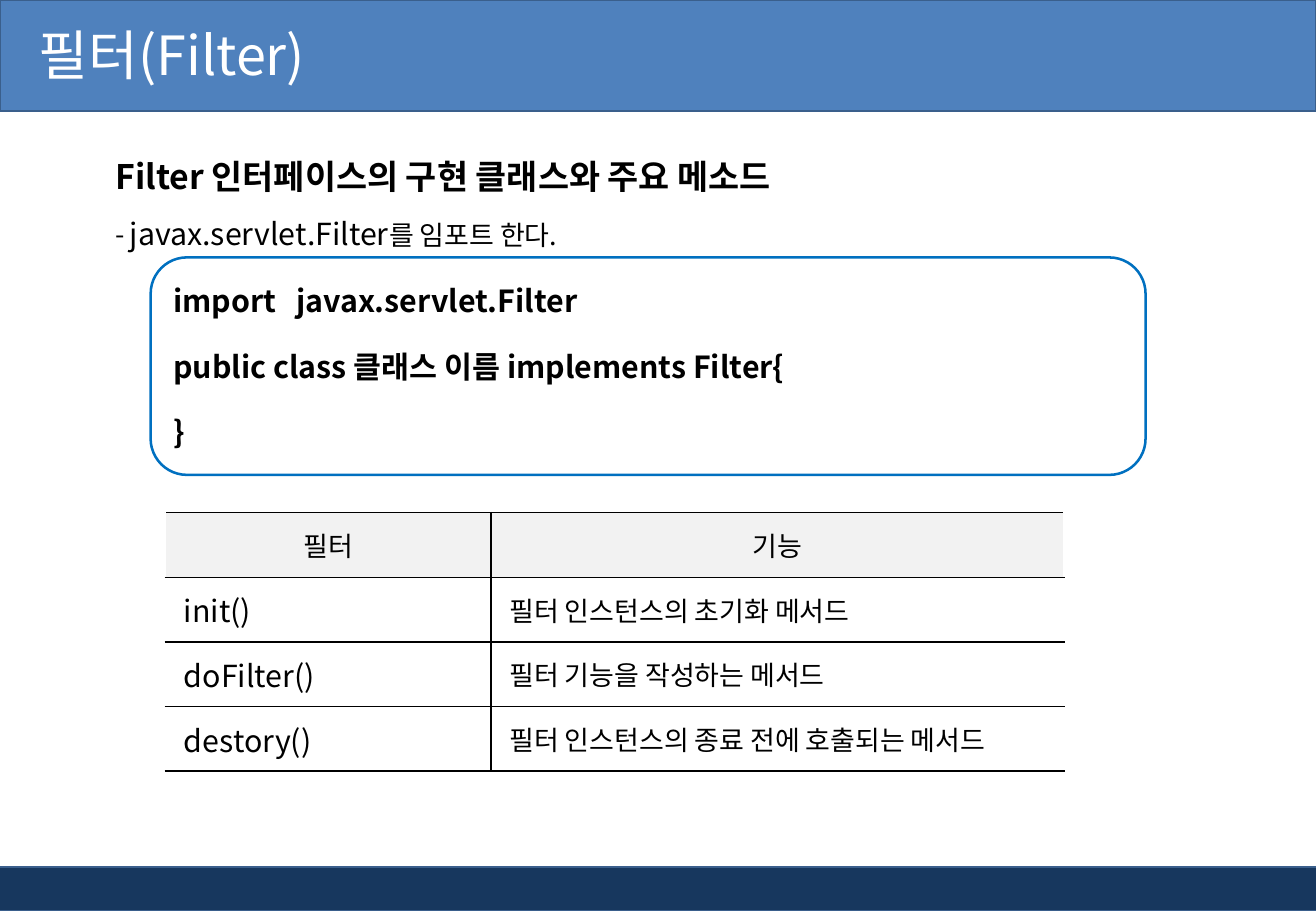
from lxml import etree
from pptx import Presentation
from pptx import util as u
from pptx.dml import color
from pptx.enum import shapes, text
from pptx.oxml import ns

FONT = "Noto Sans CJK KR"
COLORS = {
    "header": "4F81BD", "footer": "17375E", "bar_line": "3A5F8C",
    "code_line": "0070C0", "table_head": "F2F2F2",
    "white": "FFFFFF", "black": "000000",
}
METHODS = [
    ("init()", "필터 인스턴스의 초기화 메서드"),
    ("doFilter()", "필터 기능을 작성하는 메서드"),
    ("destory()", "필터 인스턴스의 종료 전에 호출되는 메서드"),
]
CODE = ["import\tjavax.servlet.Filter", "public class 클래스 이름 implements Filter{", "}"]


def rgb(name):
    return color.RGBColor.from_string(COLORS[name])


def apply(target, values):
    for name, value in values.items():
        setattr(target, name, value)


def add_child(parent, tag, **attributes):
    return etree.SubElement(parent, ns.qn(tag), attributes)


def add_run(paragraph, content, size, ink="black", bold=False):
    run = paragraph.add_run()
    run.text = content
    apply(run.font, {"name": FONT, "size": u.Pt(size), "bold": bold})
    run.font.color.rgb = rgb(ink)
    add_child(run.font._element, "a:ea", typeface=FONT)


def place(shape, left, top, width, height):
    bounds = {"left": left, "top": top, "width": width, "height": height}
    apply(shape, {name: u.Pt(value) for name, value in bounds.items()})


def add_box(slide, kind, bounds, fill, line, width):
    box = slide.shapes.add_shape(kind, *map(u.Pt, bounds))
    box.shadow.inherit = False
    box.fill.solid()
    box.fill.fore_color.rgb = rgb(fill)
    box.line.color.rgb = rgb(line)
    box.line.width = u.Pt(width)
    return box


def add_bar(slide, bounds, fill):
    bar = add_box(slide, shapes.MSO_SHAPE.RECTANGLE, bounds, fill, "bar_line", 1)
    slide.shapes.title._element.addprevious(bar._element)


def fill_title(title):
    place(title, 0, -2.16, 629.3, 67.7)
    apply(title.text_frame, {
        "margin_left": u.Pt(23), "vertical_anchor": text.MSO_ANCHOR.MIDDLE,
        "auto_size": text.MSO_AUTO_SIZE.NONE,
    })
    paragraph = title.text_frame.paragraphs[0]
    paragraph.alignment = text.PP_ALIGN.LEFT
    add_run(paragraph, "필터(Filter)", 32, "white")


def fill_body(body):
    place(body, 61.2, 77, 702.7, 76.3)
    frame = body.text_frame
    apply(frame, {"auto_size": text.MSO_AUTO_SIZE.NONE,
                  "vertical_anchor": text.MSO_ANCHOR.TOP})
    heading, item = frame.paragraphs[0], frame.add_paragraph()
    for paragraph, indent in ((heading, 0), (item, 8.6)):
        apply(paragraph, {"line_spacing": 1.5, "space_before": u.Pt(0)})
        properties = paragraph._p.get_or_add_pPr()
        properties.set("marL", str(u.Pt(indent)))
        properties.set("indent", str(-u.Pt(indent)))
    add_child(heading._p.pPr, "a:buNone")
    add_child(item._p.pPr, "a:buSzPct", val="89000")
    add_child(item._p.pPr, "a:buFont", typeface=FONT)
    add_child(item._p.pPr, "a:buChar", char="-")
    add_run(heading, "Filter 인터페이스의 구현 클래스와 주요 메소드", 20, bold=True)
    add_run(item, "javax.servlet.Filter", 18)
    add_run(item, "를 임포트 한다.", 16)


def add_code(slide):
    box = add_box(slide, shapes.MSO_SHAPE.ROUNDED_RECTANGLE,
                  (89.3, 152.6, 589.7, 128.9), "white", "code_line", 1.5)
    frame = box.text_frame
    apply(frame, {"word_wrap": True, "vertical_anchor": text.MSO_ANCHOR.MIDDLE})
    for index, line in enumerate(CODE):
        paragraph = frame.add_paragraph() if index else frame.paragraphs[0]
        paragraph.alignment = text.PP_ALIGN.LEFT
        if index:
            paragraph.space_before = u.Pt(17.3)
        if "\t" in line:
            tabs = add_child(paragraph._p.get_or_add_pPr(), "a:tabLst")
            add_child(tabs, "a:tab", pos=str(u.Pt(73)), algn="l")
        add_run(paragraph, line, 18, bold=True)


def add_borders(cell, sides):
    properties = cell._tc.get_or_add_tcPr()
    for side in sides:
        line = add_child(properties, f"a:ln{side}", w=str(u.Pt(1)))
        fill = add_child(line, "a:solidFill")
        add_child(fill, "a:srgbClr", val=COLORS["black"])


def add_methods(slide):
    rows = [("필터", "기능"), *METHODS]
    table = slide.shapes.add_table(
        len(rows), 2, u.Pt(98), u.Pt(303.9), u.Pt(532.8), u.Pt(153.2)).table
    table.horz_banding = False
    for column, width in zip(table.columns, (193, 339.8)):
        column.width = u.Pt(width)
    for row, values in enumerate(rows):
        for column, value in enumerate(values):
            cell = table.cell(row, column)
            add_borders(cell, ("L", "T", "B") if column else ("R", "T", "B"))
            cell.vertical_anchor = text.MSO_ANCHOR.MIDDLE
            paragraph = cell.text_frame.paragraphs[0]
            if row:
                cell.fill.background()
                cell.margin_left = u.Pt(11)
            else:
                cell.fill.solid()
                cell.fill.fore_color.rgb = rgb("table_head")
                paragraph.alignment = text.PP_ALIGN.CENTER
            add_run(paragraph, value, 18 if row and not column else 16)


def main():
    presentation = Presentation()
    apply(presentation, {"slide_width": u.Pt(780), "slide_height": u.Pt(540)})
    slide = presentation.slides.add_slide(presentation.slide_layouts[1])
    add_bar(slide, (-2.9, 514, 783.4, 26), "footer")
    add_bar(slide, (0, 0, 780, 66), "header")
    fill_title(slide.shapes.title)
    fill_body(slide.placeholders[1])
    add_methods(slide)
    add_code(slide)
    presentation.save("out.pptx")


if __name__ == "__main__":
    main()
